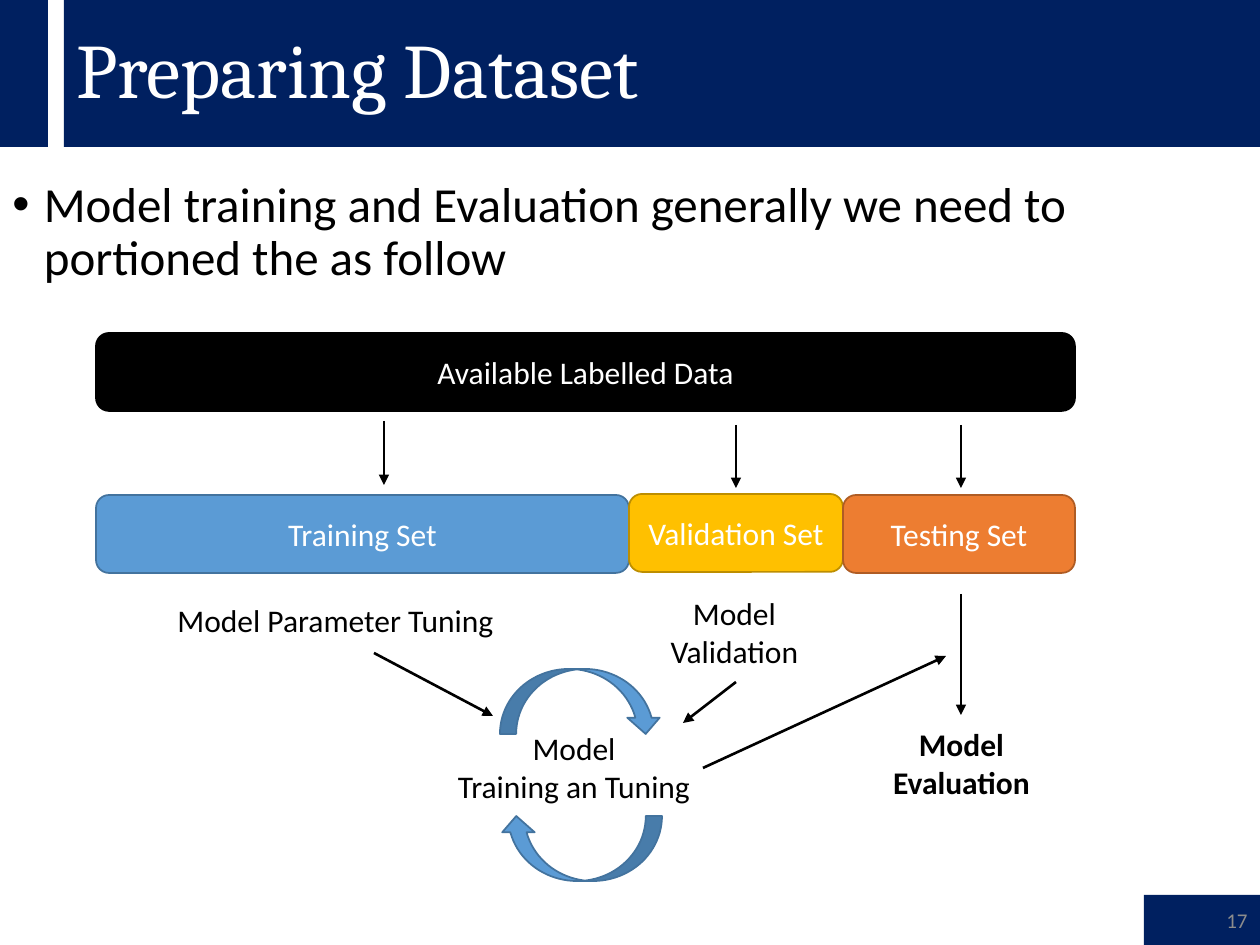
import pptx
import pptx.util
import pptx.dml.color
import pptx.enum.shapes
import pptx.enum.text
import pptx.oxml
import pptx.oxml.ns

RGBColor = pptx.dml.color.RGBColor
MSO_SHAPE = pptx.enum.shapes.MSO_SHAPE
PP_ALIGN = pptx.enum.text.PP_ALIGN
MSO_ANCHOR = pptx.enum.text.MSO_ANCHOR

NAVY = RGBColor(0x00, 0x20, 0x60)
WHITE = RGBColor(0xFF, 0xFF, 0xFF)
BLACK = RGBColor(0x00, 0x00, 0x00)
GRAY = RGBColor(0x8C, 0x8C, 0x8C)
BLUE = RGBColor(0x5B, 0x9B, 0xD5)
DARK_BLUE = RGBColor(0x43, 0x73, 0x9E)
GOLD = RGBColor(0xFF, 0xC0, 0x00)
DARK_GOLD = RGBColor(0xBD, 0x8E, 0x00)
ORANGE = RGBColor(0xED, 0x7D, 0x31)
DARK_ORANGE = RGBColor(0xAF, 0x5C, 0x24)

PIXELS_PER_INCH = 126
BOX_HEIGHT = 78
DATA_LEFT = 96


def px(length):
    """Turn a length in pixels into EMU."""
    return pptx.util.Emu(round(length * 914400 / PIXELS_PER_INCH))


def write_text(shape, text, size=18, font="Calibri", color=BLACK, bold=False,
               align=PP_ALIGN.LEFT, anchor=MSO_ANCHOR.TOP, line_spacing=None):
    """Write one paragraph per line of text into a shape."""
    frame = shape.text_frame
    frame.word_wrap = True
    frame.vertical_anchor = anchor
    for index, line in enumerate(text.split("\n")):
        paragraph = frame.add_paragraph() if index else frame.paragraphs[0]
        paragraph.alignment = align
        paragraph.line_spacing = line_spacing
        run = paragraph.add_run()
        run.text = line
        run.font.size = pptx.util.Pt(size)
        run.font.name = font
        run.font.bold = bold
        run.font.color.rgb = color


def add_block(slide, kind, left, top, width, height, fill, line=None):
    """Add a filled preset shape with an optional outline."""
    shape = slide.shapes.add_shape(kind, px(left), px(top), px(width), px(height))
    shape.shadow.inherit = False
    shape.fill.solid()
    shape.fill.fore_color.rgb = fill
    if line is None:
        shape.line.fill.background()
    else:
        shape.line.color.rgb = line
        shape.line.width = pptx.util.Pt(1)
    return shape


def add_label(slide, left, top, width, height, text, **text_format):
    """Add a text box."""
    label = slide.shapes.add_textbox(px(left), px(top), px(width), px(height))
    write_text(label, text, **text_format)
    return label


def add_data_box(slide, left, top, width, text, fill, line):
    """Add a rounded box that names a part of the data."""
    box = add_block(slide, MSO_SHAPE.ROUNDED_RECTANGLE, left, top, width,
                    BOX_HEIGHT, fill, line)
    write_text(box, text, color=WHITE, align=PP_ALIGN.CENTER,
               anchor=MSO_ANCHOR.MIDDLE)


def add_arrow(slide, start_x, start_y, end_x, end_y):
    """Add a straight black arrow."""
    arrow = slide.shapes.add_connector(
        pptx.enum.shapes.MSO_CONNECTOR.STRAIGHT,
        px(start_x), px(start_y), px(end_x), px(end_y))
    arrow.line.color.rgb = BLACK
    arrow.line.width = pptx.util.Pt(1.5)
    head = pptx.oxml.parse_xml(
        f'<a:tailEnd {pptx.oxml.ns.nsdecls("a")} type="triangle"/>')
    arrow.line._get_or_add_ln().append(head)
    effects = pptx.oxml.parse_xml(
        f'<a:effectLst {pptx.oxml.ns.nsdecls("a")}/>')
    arrow._element.spPr.append(effects)
    return arrow


def add_bullet(paragraph):
    """Give a paragraph a round bullet with a hanging indent."""
    paragraph.space_before = pptx.util.Pt(10)
    properties = paragraph._p.get_or_add_pPr()
    indent = pptx.util.Inches(0.25)
    properties.set("marL", str(indent))
    properties.set("indent", str(-indent))
    namespace = pptx.oxml.ns.nsdecls("a")
    properties.append(pptx.oxml.parse_xml(
        f'<a:buFont {namespace} typeface="Arial"/>'))
    properties.append(pptx.oxml.parse_xml(
        f'<a:buChar {namespace} char="•"/>'))


def add_frame(slide):
    """Add the title band, the bullet text and the slide number."""
    add_block(slide, MSO_SHAPE.RECTANGLE, 0, 0, 48, 147, NAVY)
    title = add_block(slide, MSO_SHAPE.RECTANGLE, 64, 0, 1196, 147, NAVY)
    write_text(title, "Preparing Dataset", size=44, font="Cambria", color=WHITE,
               anchor=MSO_ANCHOR.MIDDLE, line_spacing=0.9)
    body = add_label(
        slide, 0, 174, 1260, 674,
        "Model training and Evaluation generally we need to portioned the as follow",
        size=28, line_spacing=0.9)
    add_bullet(body.text_frame.paragraphs[0])
    number = add_block(slide, MSO_SHAPE.RECTANGLE, 1144, 895, 116, 50, NAVY)
    write_text(number, "17", size=12, color=GRAY, align=PP_ALIGN.RIGHT,
               anchor=MSO_ANCHOR.MIDDLE)


def add_data_split(slide):
    """Add the available data and the sets that it is split into."""
    add_data_box(slide, DATA_LEFT, 333, 979, "Available Labelled Data", BLACK, BLACK)
    left = DATA_LEFT
    for text, width, top, fill, line in (
            ("Training Set", 533, 495, BLUE, DARK_BLUE),
            ("Validation Set", 214, 494, GOLD, DARK_GOLD),
            ("Testing Set", 232, 495, ORANGE, DARK_ORANGE)):
        add_data_box(slide, left, top, width, text, fill, line)
        left += width
    for x, top, bottom in ((384, 421, 485), (736, 425, 488), (961, 425, 488)):
        add_arrow(slide, x, top, x, bottom)


def add_training_cycle(slide):
    """Add the tuning cycle, its inputs and the evaluation."""
    add_label(slide, 165, 595, 394, 50, "Model Parameter Tuning")
    add_label(slide, 626, 588, 217, 89, "Model Validation", align=PP_ALIGN.CENTER)
    add_label(slide, 853, 719, 217, 89, "Model Evaluation", bold=True,
              align=PP_ALIGN.CENTER)
    for top, rotation in ((669, 0), (816, 180)):
        curve = add_block(slide, MSO_SHAPE.CURVED_DOWN_ARROW, 500, top, 162, 65,
                          BLUE, DARK_BLUE)
        curve.rotation = rotation
    cycle = add_label(slide, 445, 723, 258, 90, "Model\nTraining an Tuning",
                      align=PP_ALIGN.CENTER)
    add_arrow(slide, 374, 653, 493, 716)
    add_arrow(slide, 736, 682, 683, 723)
    add_arrow(slide, 703, 768, 946, 656).begin_connect(cycle, 3)
    add_arrow(slide, 961, 594, 961, 715)


def main():
    """Build the slide and save it."""
    presentation = pptx.Presentation()
    presentation.slide_width = px(1260)
    presentation.slide_height = px(945)
    slide = presentation.slides.add_slide(presentation.slide_layouts[6])
    add_frame(slide)
    add_data_split(slide)
    add_training_cycle(slide)
    presentation.save("out.pptx")


if __name__ == "__main__":
    main()
